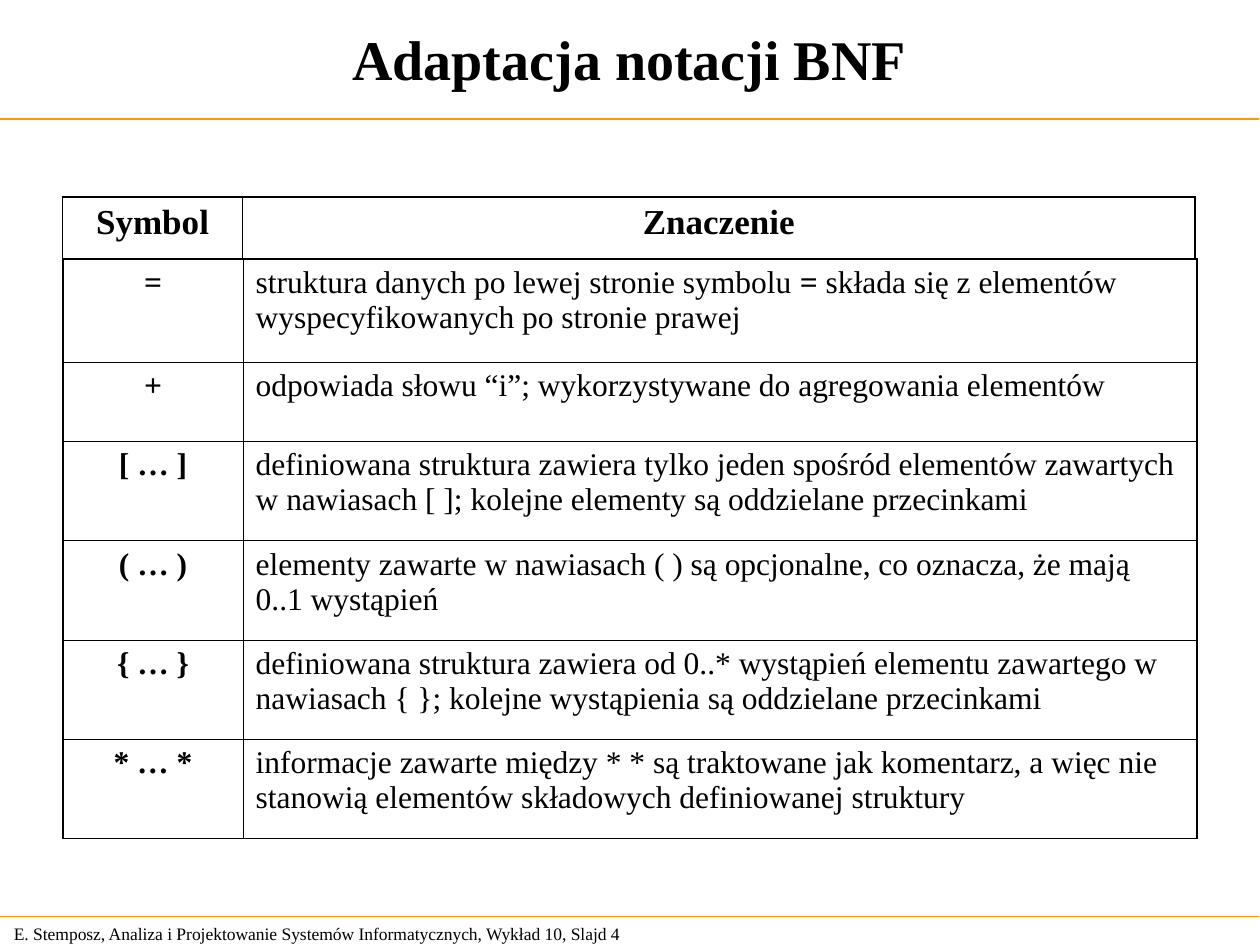
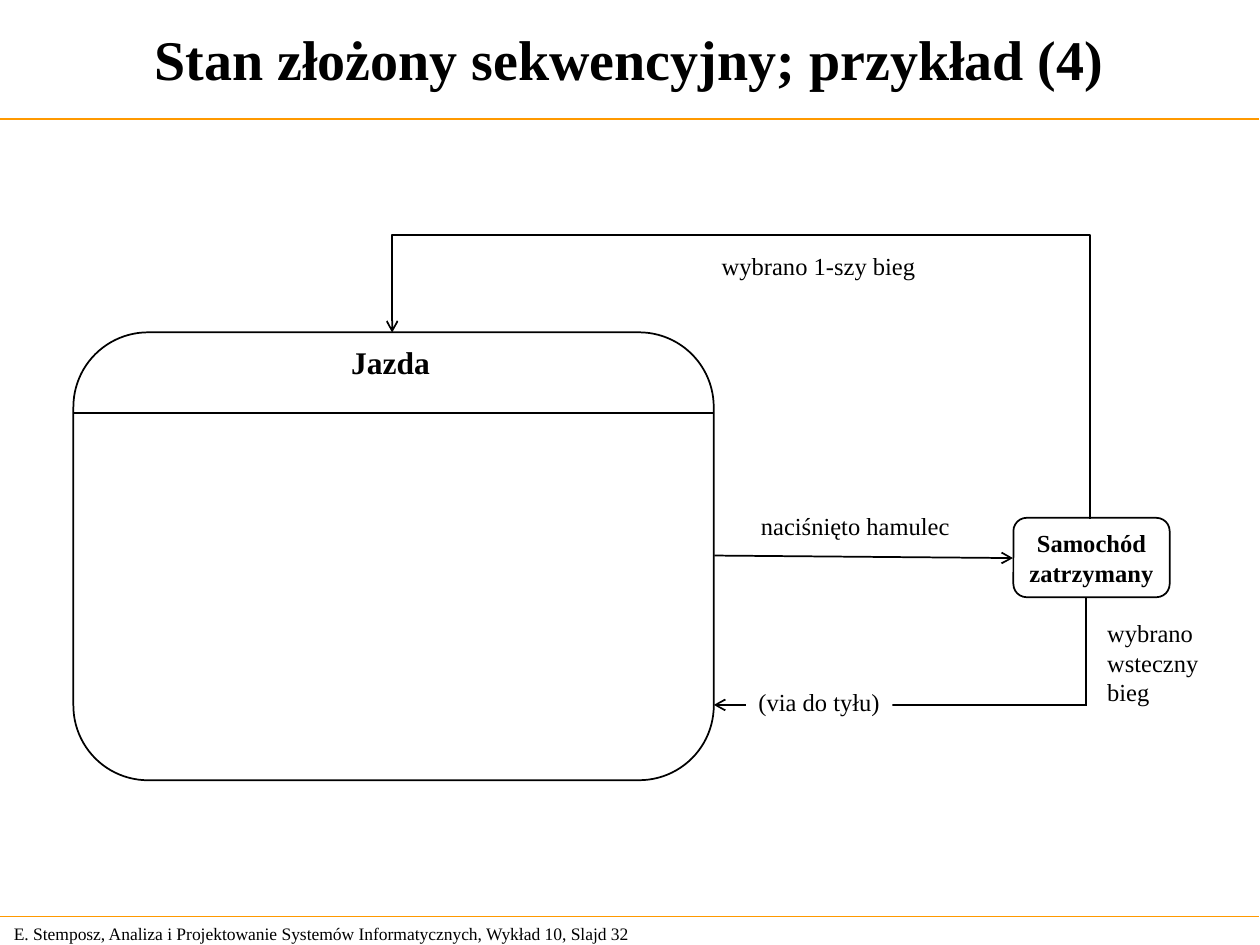
from lxml.etree import SubElement
from pptx import Presentation
from pptx.dml.color import RGBColor
from pptx.enum.shapes import MSO_CONNECTOR as LINE, MSO_SHAPE as SHAPE
from pptx.enum.text import MSO_ANCHOR as ANCHOR, MSO_AUTO_SIZE as AUTO_SIZE, PP_ALIGN as ALIGN
from pptx.oxml.ns import qn
from pptx.util import Cm, Pt

COLORS = {"ink": "000000", "paper": "FFFFFF", "rule": "FF9900"}
FONT = "Times New Roman"
FOOTER = "E. Stemposz, Analiza i Projektowanie Systemów Informatycznych, Wykład 10, Slajd "
OUTER_BORDER, INNER_BORDER = Pt(1.08), Pt(0.45)


def write(frame, lines, size, bold=False, align=ALIGN.LEFT, space_before=None):
    """Write one paragraph per line; each "|" in a line switches bold on or off."""
    for number, line in enumerate(lines):
        paragraph = frame.add_paragraph() if number else frame.paragraphs[0]
        paragraph.alignment = align
        if space_before is not None:
            paragraph.space_before = Pt(space_before)
        for index, piece in enumerate(line.split("|")):
            run = paragraph.add_run()
            run.text = piece
            run.font.name = FONT
            run.font.size = Pt(size)
            run.font.bold = bold != bool(index % 2)
            run.font.color.rgb = RGBColor.from_string(COLORS["ink"])


def draw_line(slide, start, end, color="ink", width=1, arrow=False, kind=LINE.STRAIGHT):
    line = slide.shapes.add_connector(kind, *[Cm(value) for value in start + end])
    line.line.color.rgb = RGBColor.from_string(COLORS[color])
    line.line.width = Pt(width)
    if arrow:
        SubElement(line.line._get_or_add_ln(), qn("a:tailEnd"), type="arrow")
    SubElement(line._element.spPr, qn("a:effectLst"))
    return line


deck = Presentation()
deck.slide_width, deck.slide_height = Cm(25.4), Cm(19.05)

# Title, rules and footer on every slide
slides = []
for heading, slide_number in [("Adaptacja notacji BNF", 4),
                              ("Stan złożony sekwencyjny; przykład (4)", 32)]:
    slide = deck.slides.add_slide(deck.slide_layouts[5])
    title = slide.shapes.title
    title.left, title.top, title.width, title.height = Cm(0), Cm(0), Cm(25.38), Cm(2.34)
    title.text_frame.auto_size = AUTO_SIZE.NONE
    title.text_frame.vertical_anchor = ANCHOR.MIDDLE
    write(title.text_frame, [heading], 32, bold=True, align=ALIGN.CENTER)

    for y in (2.4, 18.48):
        draw_line(slide, (-0.02, y), (25.38, y), "rule", 0.75)

    footer = slide.shapes.add_textbox(Cm(0.03), Cm(18.48), Cm(13.31), Cm(0.69)).text_frame
    footer.word_wrap = False
    footer.vertical_anchor = ANCHOR.MIDDLE
    write(footer, [f"{FOOTER}{slide_number}"], 10)
    slides.append(slide)

notation_slide, state_slide = slides

# BNF notation: symbols table, with its header as a table of its own
symbols = [
    ("=", "struktura danych po lewej stronie symbolu |=| składa się z elementów "
          "wyspecyfikowanych po stronie prawej"),
    ("+", "odpowiada słowu “i”; wykorzystywane do agregowania elementów"),
    ("[ … ]", "definiowana struktura zawiera tylko jeden spośród elementów zawartych "
              "w nawiasach [ ]; kolejne elementy są oddzielane przecinkami"),
    ("( … )", "elementy zawarte w nawiasach ( ) są opcjonalne, co oznacza, że mają "
              "0..1 wystąpień"),
    ("{ … }", "definiowana struktura zawiera od 0..* wystąpień elementu zawartego w "
              "nawiasach { }; kolejne wystąpienia są oddzielane przecinkami"),
    ("* … *", "informacje zawarte między * * są traktowane jak komentarz, a więc nie "
              "stanowią elementów składowych definiowanej struktury"),
]
header = [("Symbol", "Znaczenie")]

for rows, left, top, widths, heights, size, space, is_header in [
    (symbols, 1.27, 5.22, (3.63, 19.23), (2.08, 1.6) + (2,) * 4, 18, 4.5, False),
    (header, 1.26, 3.97, (3.63, 19.2), (1.24,), 20, 5, True),
]:
    table = notation_slide.shapes.add_table(
        len(rows), 2, Cm(left), Cm(top), Cm(sum(widths)), Cm(sum(heights))).table
    table.first_row = table.horz_banding = False
    for column, width in zip(table.columns, widths):
        column.width = Cm(width)
    for r, (texts, height) in enumerate(zip(rows, heights)):
        table.rows[r].height = Cm(height)
        for c, text in enumerate(texts):
            cell = table.cell(r, c)
            emphasized = is_header or c == 0
            write(cell.text_frame, [text], size, emphasized,
                  ALIGN.CENTER if emphasized else ALIGN.LEFT, space)
            properties = cell._tc.get_or_add_tcPr()
            for edge, is_outer in [("L", c == 0), ("R", c == 1),
                                   ("T", r == 0), ("B", r == len(rows) - 1)]:
                border = SubElement(properties, qn(f"a:ln{edge}"),
                                    w=str(OUTER_BORDER if is_outer else INNER_BORDER))
                ink = SubElement(border, qn("a:solidFill"))
                SubElement(ink, qn("a:srgbClr"), val=COLORS["ink"])
            cell.fill.background()

# State diagram: the two states, then transitions and their labels
for left, top, width, height, name_lines in [
    (1.48, 6.7, 12.91, 9.03, []),
    (20.43, 10.44, 3.15, 1.6, ["Samochód", "zatrzymany"]),
]:
    state = state_slide.shapes.add_shape(
        SHAPE.ROUNDED_RECTANGLE, Cm(left), Cm(top), Cm(width), Cm(height))
    state.shadow.inherit = False
    state.fill.solid()
    state.fill.fore_color.rgb = RGBColor.from_string(COLORS["paper"])
    state.line.color.rgb = RGBColor.from_string(COLORS["ink"])
    state.line.width = Pt(1)
    state.text_frame.word_wrap = False
    state.text_frame.vertical_anchor = ANCHOR.MIDDLE
    write(state.text_frame, name_lines, 14, bold=True, align=ALIGN.CENTER)

draw_line(state_slide, (1.5, 8.33), (14.4, 8.33))
draw_line(state_slide, (14.4, 11.2), (20.42, 11.25), arrow=True)
draw_line(state_slide, (21.9, 12.04), (21.9, 14.23))
draw_line(state_slide, (21.9, 14.21), (14.39, 14.21), arrow=True)

# The elbow is turned so that it leaves and enters the states from above
first_gear = draw_line(state_slide, (13.06, 1.55), (16.82, 15.62), arrow=True, kind=LINE.ELBOW)
turn = first_gear._element.spPr.find(qn("a:xfrm"))
turn.set("rot", "16200000")
turn.set("flipV", "1")
bend = first_gear._element.spPr.find(qn("a:prstGeom")).get_or_add_avLst()
SubElement(bend, qn("a:gd"), name="adj1", fmla="val 152200")

for lines, left, top, width, height, size, bold, covers_line in [
    (["Jazda"], 6.83, 6.8, 2.6, 1.02, 18, True, False),
    (["wybrano 1-szy bieg"], 14.3, 4.93, 4.42, 0.86, 14, False, False),
    (["naciśnięto hamulec"], 15.09, 10.18, 4.32, 0.86, 14, False, False),
    (["wybrano", "wsteczny", "bieg"], 22.07, 12.34, 2.46, 2.03, 14, False, False),
    (["(via do tyłu)"], 15.04, 13.72, 2.95, 0.86, 14, False, True),
]:
    label = state_slide.shapes.add_textbox(Cm(left), Cm(top), Cm(width), Cm(height))
    label.text_frame.word_wrap = False
    if covers_line:
        label.fill.solid()
        label.fill.fore_color.rgb = RGBColor.from_string(COLORS["paper"])
    write(label.text_frame, lines, size, bold)

deck.save("out.pptx")
